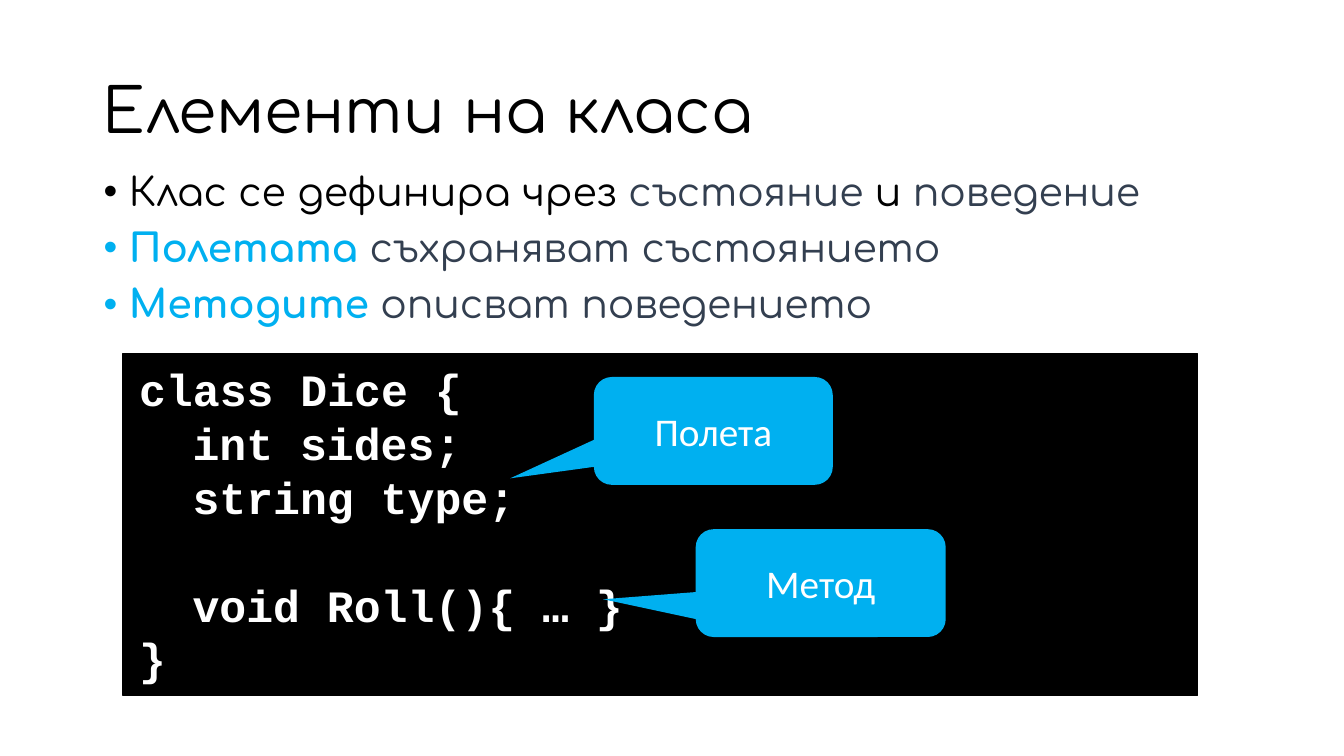
from dataclasses import dataclass

from lxml.etree import SubElement
from pptx import Presentation
from pptx.dml.color import RGBColor
from pptx.enum.shapes import MSO_SHAPE as Preset
from pptx.enum.text import MSO_ANCHOR as Anchor, MSO_AUTO_SIZE as AutoSize, PP_ALIGN as Align
from pptx.oxml.ns import qn
from pptx.shapes.autoshape import Shape
from pptx.slide import Slide
from pptx.util import Emu, Pt

EMU_PER_PX = 9144


@dataclass(frozen=True)
class Theme:
    black: str = "000000"
    white: str = "FFFFFF"
    slate: str = "333F50"
    accent: str = "00B0F0"
    heading_font: str = "Comfortaa"
    code_font: str = "Courier New"
    label_font: str = "Calibri"
    title_size: int = 44
    body_size: int = 28
    code_size: int = 32
    code_line_height: float = 38.6


THEME = Theme()


@dataclass(frozen=True)
class Box:
    left: int
    top: int
    width: int
    height: int

    def emu(self) -> tuple[Emu, ...]:
        return tuple(px(n) for n in (self.left, self.top, self.width, self.height))


@dataclass(frozen=True)
class Span:
    text: str
    color: str
    bold: bool = False


@dataclass(frozen=True)
class CodeLine:
    text: str
    indent: int = 0
    blank_lines_before: int = 0


@dataclass(frozen=True)
class Callout:
    text: str
    box: Box
    tip: tuple[float, float]


TITLE = Span("Елементи на класа", THEME.black)
BULLETS = [
    [
        Span("Клас се дефинира чрез ", THEME.black),
        Span("състояние ", THEME.slate),
        Span("и ", THEME.black),
        Span("поведение", THEME.slate),
    ],
    [Span("Полетата ", THEME.accent, True), Span("съхраняват състоянието", THEME.slate)],
    [Span("Методите ", THEME.accent, True), Span("описват поведението", THEME.slate)],
]
CODE_INDENT = 53
CODE = [
    CodeLine("class Dice {"),
    CodeLine("int sides;", CODE_INDENT),
    CodeLine("string type;", CODE_INDENT),
    CodeLine("void Roll(){ … }", CODE_INDENT, blank_lines_before=1),
    CodeLine("}"),
]
CALLOUTS = [
    Callout("Полета", Box(589, 374, 237, 107), (-0.85, 0.44)),
    Callout("Метод", Box(690, 525, 248, 107), (-0.87, 0.15)),
]


def px(length: int) -> Emu:
    return Emu(length * EMU_PER_PX)


def add_span(paragraph, span: Span, font_name: str, size: int) -> None:
    run = paragraph.add_run()
    run.text = span.text
    run.font.name = font_name
    run.font.size = Pt(size)
    run.font.bold = span.bold
    run.font.color.rgb = RGBColor.from_string(span.color)


def next_paragraph(text_frame, index: int):
    """Use the paragraph a text frame starts with before adding more."""
    return text_frame.add_paragraph() if index else text_frame.paragraphs[0]


def add_text_frame(slide: Slide, box: Box):
    text_frame = slide.shapes.add_textbox(*box.emu()).text_frame
    text_frame.word_wrap = True
    return text_frame


def add_filled_shape(slide: Slide, preset: Preset, box: Box, color: str) -> Shape:
    shape = slide.shapes.add_shape(preset, *box.emu())
    shape.shadow.inherit = False
    shape.fill.solid()
    shape.fill.fore_color.rgb = RGBColor.from_string(color)
    shape.line.fill.background()
    shape.text_frame.word_wrap = True
    return shape


def add_title(slide: Slide, title: Span, box: Box) -> None:
    text_frame = add_text_frame(slide, box)
    text_frame.vertical_anchor = Anchor.MIDDLE
    paragraph = text_frame.paragraphs[0]
    paragraph.line_spacing = 0.9
    add_span(paragraph, title, THEME.heading_font, THEME.title_size)


def add_bullets(slide: Slide, bullets: list[list[Span]], box: Box) -> None:
    text_frame = add_text_frame(slide, box)
    for index, spans in enumerate(bullets):
        paragraph = next_paragraph(text_frame, index)
        paragraph.line_spacing = 0.9
        paragraph.space_before = Pt(10)
        properties = paragraph._p.get_or_add_pPr()
        properties.set("marL", str(px(25)))
        properties.set("indent", str(px(-25)))
        SubElement(properties, qn("a:buFont"), typeface="Arial")
        SubElement(properties, qn("a:buChar"), char="•")
        for span in spans:
            add_span(paragraph, span, THEME.heading_font, THEME.body_size)


def add_code(slide: Slide, lines: list[CodeLine], box: Box) -> None:
    shape = add_filled_shape(slide, Preset.RECTANGLE, box, THEME.black)
    shape.line.color.rgb = RGBColor.from_string(THEME.black)
    shape.line.width = Pt(1)
    text_frame = shape.text_frame
    text_frame.auto_size = AutoSize.SHAPE_TO_FIT_TEXT
    text_frame.vertical_anchor = Anchor.TOP
    text_frame.margin_left = text_frame.margin_right = px(16)
    text_frame.margin_top = text_frame.margin_bottom = px(8)
    for index, line in enumerate(lines):
        paragraph = next_paragraph(text_frame, index)
        paragraph.alignment = Align.LEFT
        paragraph.space_before = Pt(THEME.code_line_height * line.blank_lines_before)
        paragraph._p.get_or_add_pPr().set("marL", str(px(line.indent)))
        add_span(paragraph, Span(line.text, THEME.white, True), THEME.code_font, THEME.code_size)


def add_callout(slide: Slide, callout: Callout) -> None:
    shape = add_filled_shape(slide, Preset.ROUNDED_RECTANGULAR_CALLOUT, callout.box, THEME.accent)
    shape.adjustments[0], shape.adjustments[1] = callout.tip
    shape.text_frame.vertical_anchor = Anchor.MIDDLE
    paragraph = shape.text_frame.paragraphs[0]
    paragraph.alignment = Align.CENTER
    add_span(paragraph, Span(callout.text, THEME.white), THEME.label_font, THEME.body_size)


def main() -> None:
    presentation = Presentation()
    presentation.slide_width, presentation.slide_height = px(1333), px(750)
    slide = presentation.slides.add_slide(presentation.slide_layouts[6])
    add_bullets(slide, BULLETS, Box(93, 166, 1088, 185))
    add_title(slide, TITLE, Box(92, 40, 1150, 145))
    add_code(slide, CODE, Box(122, 351, 1066, 339))
    for callout in CALLOUTS:
        add_callout(slide, callout)
    presentation.save("out.pptx")


if __name__ == "__main__":
    main()
